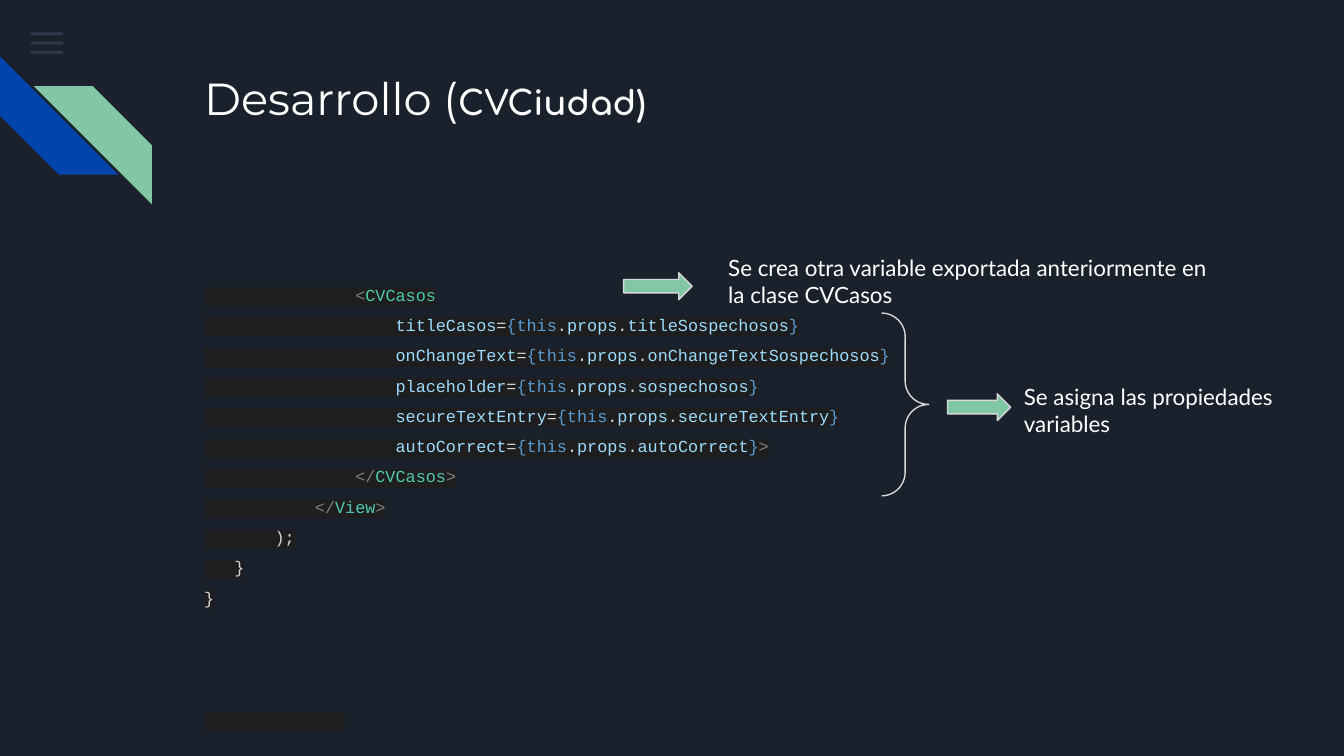
from lxml import etree
from pptx import Presentation
from pptx.dml.color import RGBColor
from pptx.enum.shapes import MSO_SHAPE
from pptx.enum.text import MSO_ANCHOR
from pptx.oxml.ns import qn
from pptx.util import Inches, Pt

RECTANGLE = MSO_SHAPE.RECTANGLE
STRIPE = MSO_SHAPE.DIAGONAL_STRIPE
ARROW = MSO_SHAPE.RIGHT_ARROW
BRACE = MSO_SHAPE.RIGHT_BRACE
TOP = MSO_ANCHOR.TOP

THEME = {
    "background": "1B212C", "menu": "55688B", "blue": "0145AC", "green": "82C7A5",
    "outline": "D9D9D9", "text": "FFFFFF", "highlight": "1E1E1E",
    "plain": "D4D4D4", "bracket": "808080", "tag": "4EC9B0",
    "name": "9CDCFE", "keyword": "569CD6",
    "title_font": "Montserrat", "class_font": "Comfortaa",
    "code_font": "Courier New", "note_font": "Lato",
    "title_size": 24, "class_size": 18, "code_size": 9, "note_size": 12,
    "code_pitch": 16.25, "line_width": 0.75,
}

# Content
TITLE = ("Desarrollo (", "CVCiudad)")
PROPERTIES = [
    ("titleCasos", "titleSospechosos"),
    ("onChangeText", "onChangeTextSospechosos"),
    ("placeholder", "sospechosos"),
    ("secureTextEntry", "secureTextEntry"),
    ("autoCorrect", "autoCorrect"),
]
NOTES = [
    ("Se asigna las propiedades variables", (7.52, 2.75, 2.3, 0.54)),
    ("Se crea otra variable exportada anteriormente en la clase CVCasos", (5.32, 1.79, 3.8, 0.54)),
]
ARROWS = [(4.64, 2.03, 0.51, 0.2), (7.05, 2.93, 0.47, 0.2)]


def property_line(name, value):
    return [(" " * 19, "plain"), (name, "name"), ("=", "plain"), ("{this", "keyword"),
            (".", "plain"), ("props", "name"), (".", "plain"), (value, "name"),
            ("}", "keyword")]


def closing_tag(indent, tag):
    return [(" " * indent, "plain"), ("</", "bracket"), (tag, "tag"), (">", "bracket")]


def code_lines():
    properties = [property_line(*pair) for pair in PROPERTIES]
    properties[-1].append((">", "bracket"))
    return [
        [(" " * 15, "plain"), ("<", "bracket"), ("CVCasos", "tag")],
        *properties,
        closing_tag(15, "CVCasos"),
        closing_tag(11, "View"),
        [("       );", "plain")],
        [("   }", "plain")],
        [("}", "plain")],
        [(" " * 14, "plain")],  # highlighted indent that closes the code
    ]


def color(key):
    return RGBColor.from_string(THEME[key])


def add_shape(page, kind, place, fill=None, outline=False):
    shape = page.shapes.add_shape(kind, *map(Inches, place))
    shape.shadow.inherit = False
    if fill:
        shape.fill.solid()
        shape.fill.fore_color.rgb = color(fill)
    else:
        shape.fill.background()
    if outline:
        shape.line.color.rgb = color("outline")
        shape.line.width = Pt(THEME["line_width"])
    else:
        shape.line.fill.background()
    return shape


def add_text_frame(page, place):
    frame = page.shapes.add_textbox(*map(Inches, place)).text_frame
    frame.word_wrap = True
    frame.vertical_anchor = TOP
    frame.margin_left = frame.margin_right = Inches(0.1)
    frame.margin_top = frame.margin_bottom = Inches(0.1)
    return frame


def add_span(para, text, role, ink="text", bold=False):
    span = para.add_run()
    span.text = text
    span.font.name = THEME[role + "_font"]
    span.font.size = Pt(THEME[role + "_size"])
    span.font.bold = bold
    span.font.color.rgb = color(ink)
    return span


def highlight(span):
    mark = etree.Element(qn("a:highlight"))
    etree.SubElement(mark, qn("a:srgbClr"), val=THEME["highlight"])
    # The highlight has to follow the text fill
    span._r.rPr.find(qn("a:solidFill")).addnext(mark)


def add_decoration(page):
    # Menu icon
    for row in range(3):
        bar = add_shape(page, RECTANGLE, (0.23, 0.24 + 0.07 * row, 0.24, 0.02), "menu")
        ink = bar.element.spPr.find(qn("a:solidFill"))[0]
        etree.SubElement(ink, qn("a:alpha"), val="36000")
    # Corner stripes
    blue = add_shape(page, STRIPE, (0, 0.42, 0.88, 0.88), "blue")
    blue.rotation = 270
    green = add_shape(page, STRIPE, (0.25, 0.64, 0.88, 0.88), "green")
    green.element.spPr.find(qn("a:xfrm")).set("flipH", "1")


def add_code(page):
    frame = add_text_frame(page, (1.42, 1.56, 5.76, 3.81))
    frame.margin_top = Inches(0.48)
    for index, line in enumerate(code_lines()):
        para = frame.paragraphs[0] if index == 0 else frame.add_paragraph()
        para.line_spacing = Pt(THEME["code_pitch"])
        for text, ink in line:
            highlight(add_span(para, text, "code", ink))
    # The last line stands three lines lower
    para.space_before = Pt(3 * THEME["code_pitch"])


def main():
    deck = Presentation()
    deck.slide_width = Inches(10)
    deck.slide_height = Inches(10 * 9 / 16)
    page = deck.slides.add_slide(deck.slide_layouts[6])
    page.background.fill.solid()
    page.background.fill.fore_color.rgb = color("background")

    add_decoration(page)

    # Title
    para = add_text_frame(page, (1.42, 0.43, 7.7, 1)).paragraphs[0]
    add_span(para, TITLE[0], "title")
    add_span(para, TITLE[1], "class", bold=True)

    add_code(page)

    # Notes, with the arrows and the brace that tie them to the code
    for place in ARROWS:
        add_shape(page, ARROW, place, "green", outline=True)
    brace = add_shape(page, BRACE, (6.56, 2.33, 0.35, 1.36), outline=True)
    brace.adjustments[0] = 0.5
    for text, place in NOTES:
        add_span(add_text_frame(page, place).paragraphs[0], text, "note")

    deck.save("out.pptx")


if __name__ == "__main__":
    main()
